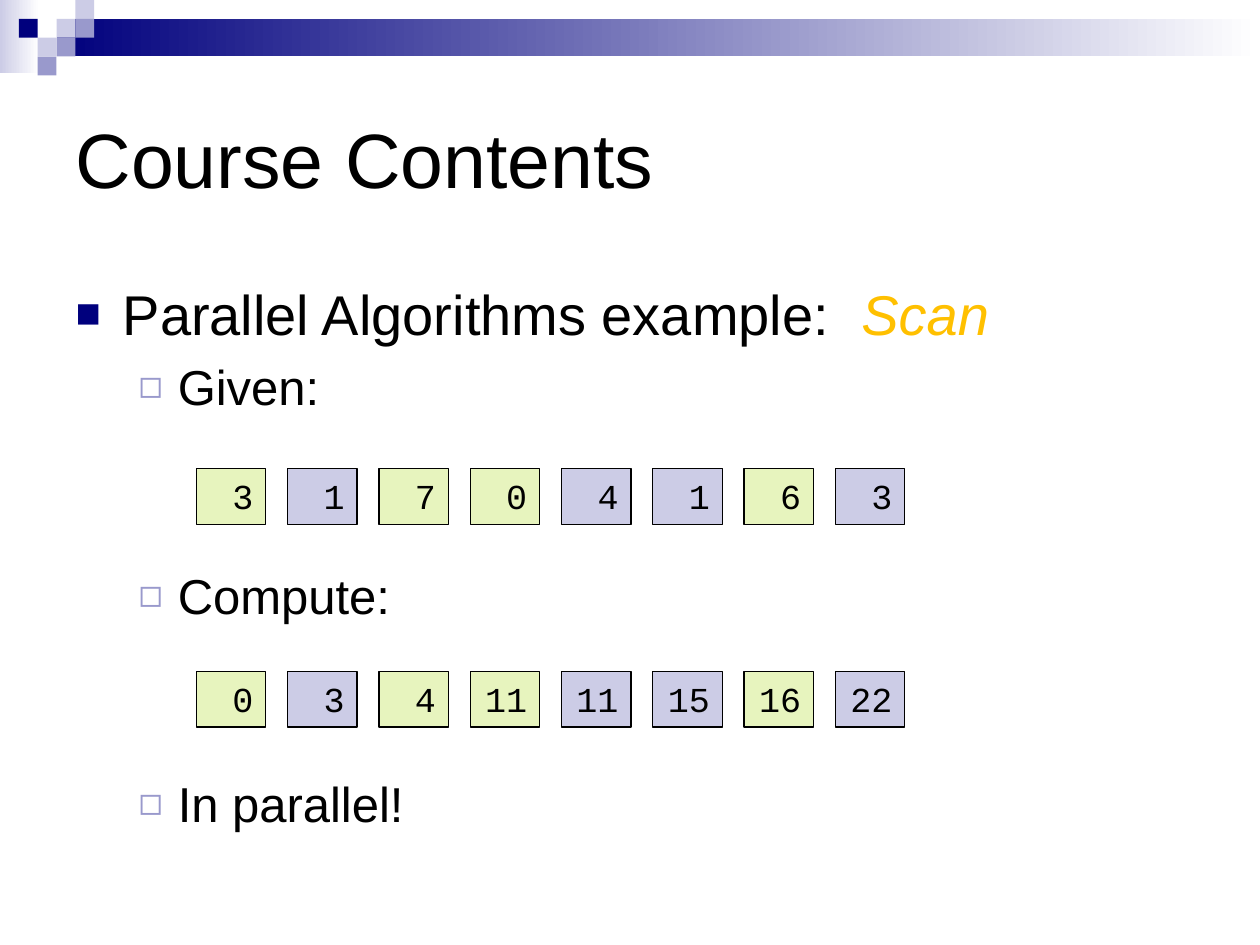
from lxml import etree
from pptx import Presentation
from pptx.dml.color import RGBColor
from pptx.enum.shapes import MSO_SHAPE
from pptx.enum.text import MSO_ANCHOR, MSO_AUTO_SIZE, PP_ALIGN
from pptx.oxml.ns import qn
from pptx.util import Cm, Pt

RECTANGLE = MSO_SHAPE.RECTANGLE
MIDDLE, TOP = MSO_ANCHOR.MIDDLE, MSO_ANCHOR.TOP
LEFT, RIGHT = PP_ALIGN.LEFT, PP_ALIGN.RIGHT
NO_AUTOFIT = MSO_AUTO_SIZE.NONE

COLORS = {
    "navy": "00007D", "violet": "9999CC", "lavender": "CCCCE6",
    "lime": "E7F4BE", "amber": "FFC000", "black": "000000", "white": "FFFFFF",
}


def add_rectangle(left, top, width, height, color, end_color=None):
    """Add a borderless rectangle, plain or fading to end_color."""
    shape = slide.shapes.add_shape(RECTANGLE, Cm(left), Cm(top), Cm(width), Cm(height))
    shape.shadow.inherit = False
    shape.line.fill.background()
    if end_color:
        shape.fill.gradient()
        shape.fill.gradient_angle = 0
        for stop, name in zip(shape.fill.gradient_stops, (color, end_color)):
            stop.color.rgb = RGBColor.from_string(COLORS[name])
    else:
        shape.fill.solid()
        shape.fill.fore_color.rgb = RGBColor.from_string(COLORS[color])
    return shape


def format_runs(paragraph, size, font="Arial", color="black"):
    for run in paragraph.runs:
        run.font.size = Pt(size)
        run.font.name = font
        run.font.color.rgb = RGBColor.from_string(COLORS[color])


presentation = Presentation()
presentation.slide_width, presentation.slide_height = Cm(25.4), Cm(19.05)
slide = presentation.slides.add_slide(presentation.slide_layouts[1])

# Header band and its checkered squares, on a grid of one square
SQUARE = 0.38
add_rectangle(0, 0, 0.79, 1.47, "lavender", "white")
add_rectangle(3 * SQUARE, SQUARE, 24.26, 2 * SQUARE, "navy", "white")
for column, row, color in [
    (3, 1, "lavender"), (4, 0, "lavender"), (4, 1, "violet"), (2, 2, "lavender"),
    (1, 1, "navy"), (3, 2, "violet"), (2, 3, "violet"),
]:
    add_rectangle(column * SQUARE, row * SQUARE, SQUARE, SQUARE, color)

# Title
title = slide.shapes.title
title.left, title.top, title.width, title.height = Cm(1.27), Cm(1.27), Cm(22.86), Cm(3.81)
title.text_frame.text = "Course Contents"
title.text_frame.vertical_anchor = MIDDLE
title.text_frame.auto_size = NO_AUTOFIT
title.text_frame.paragraphs[0].alignment = LEFT
format_runs(title.text_frame.paragraphs[0], 44)

# Bulleted list; the wide spacing leaves room for the number rows
body = slide.placeholders[1]
body.left, body.top, body.width, body.height = Cm(1.27), Cm(5.51), Cm(22.86), Cm(10.8)
frame = body.text_frame
frame.text = "Parallel Algorithms example:  \nGiven:\nCompute:\nIn parallel!"
frame.vertical_anchor = TOP
frame.auto_size = NO_AUTOFIT
scan = frame.paragraphs[0].add_run()
scan.text = "Scan"

# size, left margin, hanging indent, bullet, bullet colour, bullet size
LEVELS = [
    (32, 0.95, 0.95, "■", "navy", 75),
    (28, 2.06, 0.79, "◻", "violet", 80),
]
for paragraph, level, space in zip(frame.paragraphs, (0, 1, 1, 1), (6.4, 5.6, 85.5, 85.5)):
    size, margin, hanging, bullet, bullet_color, bullet_size = LEVELS[level]
    paragraph.level = level
    paragraph.space_before = Pt(space)
    format_runs(paragraph, size)
    properties = paragraph._p.get_or_add_pPr()
    properties.set("marL", str(Cm(margin)))
    properties.set("indent", str(-Cm(hanging)))
    color_element = etree.SubElement(properties, qn("a:buClr"))
    etree.SubElement(color_element, qn("a:srgbClr"), val=COLORS[bullet_color])
    etree.SubElement(properties, qn("a:buSzPct"), val=str(bullet_size * 1000))
    etree.SubElement(properties, qn("a:buFont"), typeface="Arial")
    etree.SubElement(properties, qn("a:buChar"), char=bullet)
scan.font.italic = True
scan.font.color.rgb = RGBColor.from_string(COLORS["amber"])

# Input row and its exclusive prefix sums
given = [3, 1, 7, 0, 4, 1, 6, 3]
sums = [sum(given[:index]) for index in range(len(given))]
cell_colors = ["lime", "lavender", "lime", "lime", "lavender", "lavender", "lime", "lavender"]
for top, values in ((9.45, given), (13.54, sums)):
    for index, (value, color) in enumerate(zip(values, cell_colors)):
        cell = add_rectangle(3.96 + index * 1.84, top, 1.4, 1.12, color)
        cell.line.color.rgb = RGBColor.from_string(COLORS["black"])
        cell.line.width = Pt(0.75)
        cell.text_frame.text = str(value)
        cell.text_frame.word_wrap = True
        cell.text_frame.vertical_anchor = TOP
        cell.text_frame.paragraphs[0].alignment = RIGHT
        format_runs(cell.text_frame.paragraphs[0], 20, "Courier New")

presentation.save("out.pptx")
